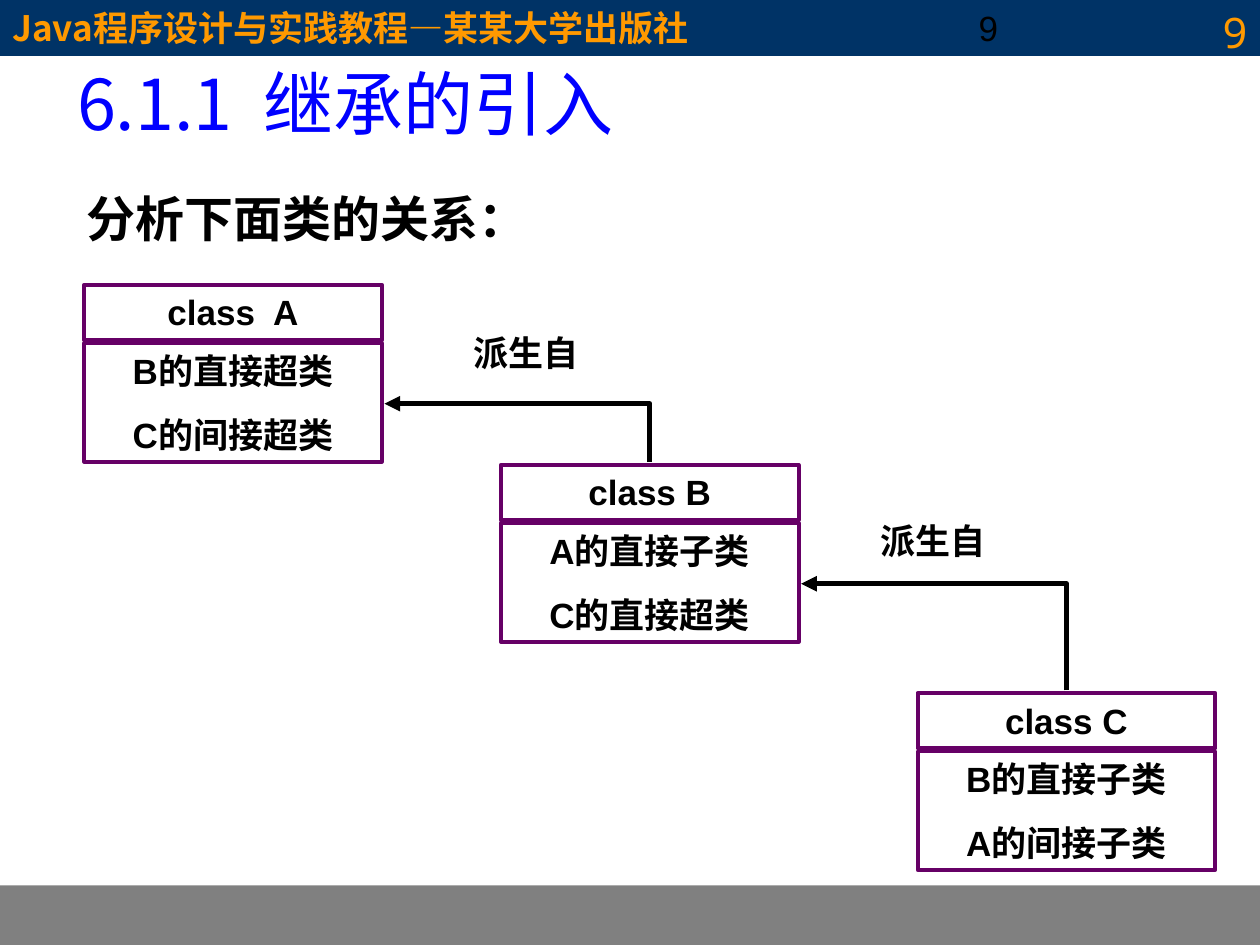
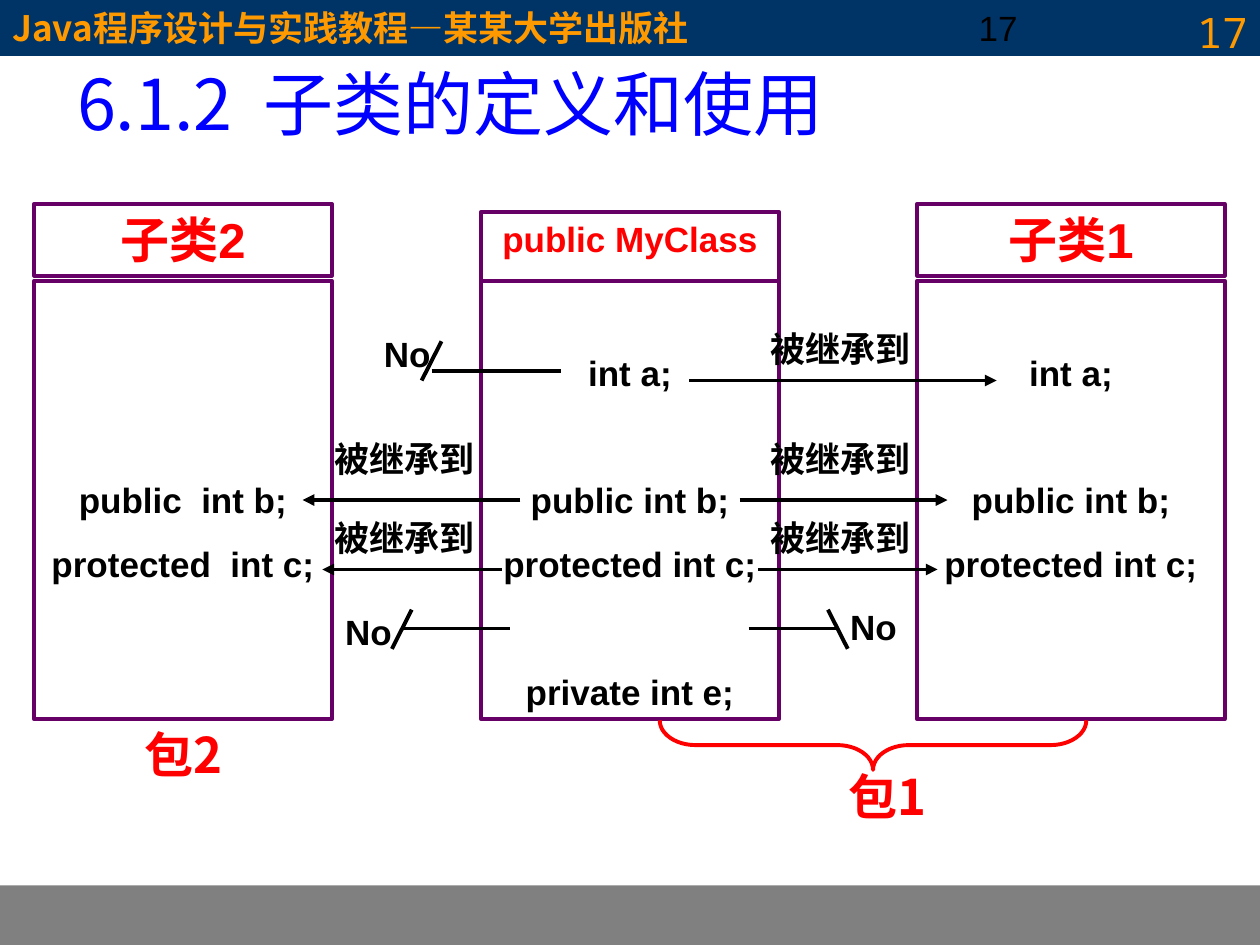
from dataclasses import dataclass

from lxml.etree import SubElement
from pptx import Presentation
from pptx.dml.color import RGBColor
from pptx.enum.shapes import MSO_CONNECTOR as Link, MSO_SHAPE as Preset
from pptx.enum.text import MSO_ANCHOR as Anchor, MSO_AUTO_SIZE as AutoSize, PP_ALIGN as Align
from pptx.oxml.ns import qn
from pptx.slide import Slide
from pptx.util import Cm, Pt

# Colours and fonts
NAVY, GREY, ORANGE, BLUE = "003366", "808080", "FF9900", "0000FF"
PURPLE, RED, BLACK = "660066", "FF0000", "000000"
ARIAL, CJK, MONO = "Arial", "Noto Sans CJK SC", "Noto Sans Mono"

# Lengths in centimetres, text sizes in points
WIDTH, HEIGHT = 25.4, 19.05
BAND = 1.12
LABEL_HEIGHT, LARGE_HEIGHT = 1.12, 1.45
BODY, LARGE = 20, 28
LEADING = 1.2
GAP = 12.5
ROW = BODY * LEADING + GAP


@dataclass
class Box:
    x: float
    y: float
    w: float
    h: float

    def lengths(self) -> list[Cm]:
        return [Cm(v) for v in (self.x, self.y, self.w, self.h)]


@dataclass
class Style:
    size: float = BODY
    color: str = BLACK
    font: str = ARIAL
    bold: bool = True
    align: Align = Align.CENTER
    fixed: bool = True  # fixed line pitch


LABEL = Style(align=Align.LEFT)
HEADING = Style(LARGE, align=Align.LEFT)
PACKAGE = Style(LARGE, RED, CJK)
SUBCLASS = Style(LARGE, RED)
PARENT = Style(color=RED)
TITLE = Style(40, BLUE, CJK, False, Align.LEFT, False)
BRAND = Style(BODY, ORANGE, CJK, True, Align.LEFT, False)
NUMBER = Style(bold=False, align=Align.LEFT)
CORNER = Style(24, ORANGE, MONO, False, Align.RIGHT, False)


@dataclass
class ClassCard:
    name: str
    relations: list[str]
    x: float
    y: float


@dataclass
class Panel:
    name: str
    style: Style
    header: Box
    members: dict[int, str]  # row number -> member


@dataclass
class Stroke:
    x1: float
    y1: float
    x2: float
    y2: float
    arrow: bool = False


def rgb(color: str) -> RGBColor:
    return RGBColor.from_string(color)


# Text
def write(shape, lines: list[str], style: Style, gaps: list[float] | None = None) -> None:
    frame = shape.text_frame
    frame.word_wrap = True
    frame.auto_size = AutoSize.NONE
    frame.text = "\n".join(lines)
    for index, paragraph in enumerate(frame.paragraphs):
        paragraph.alignment = style.align
        paragraph.space_before = Pt(gaps[index] if gaps else 0)
        if style.fixed:
            paragraph.line_spacing = Pt(style.size * LEADING)
        font = paragraph.font
        font.size, font.bold, font.name = Pt(style.size), style.bold, style.font
        font.color.rgb = rgb(style.color)
        east_asian = SubElement(paragraph._p.pPr.find(qn("a:defRPr")), qn("a:ea"))
        east_asian.set("typeface", CJK)


def add_label(slide: Slide, text: str, box: Box, style: Style = LABEL) -> None:
    write(slide.shapes.add_textbox(*box.lengths()), [text], style)


# Shapes and lines
def add_preset(slide: Slide, box: Box, line: str | None, fill: str | None = None,
               weight: float = 2.25, preset: Preset = Preset.RECTANGLE):
    shape = slide.shapes.add_shape(preset, *box.lengths())
    shape.shadow.inherit = False
    if fill:
        shape.fill.solid()
        shape.fill.fore_color.rgb = rgb(fill)
    else:
        shape.fill.background()
    if line:
        shape.line.color.rgb = rgb(line)
        shape.line.width = Pt(weight)
    else:
        shape.line.fill.background()
    shape.text_frame.vertical_anchor = Anchor.TOP
    return shape


def add_stroke(slide: Slide, stroke: Stroke, weight: float = 2.25, kind: Link = Link.STRAIGHT):
    ends = [Cm(v) for v in (stroke.x1, stroke.y1, stroke.x2, stroke.y2)]
    connector = slide.shapes.add_connector(kind, *ends)
    connector.line.color.rgb = rgb(BLACK)
    connector.line.width = Pt(weight)
    if stroke.arrow:
        SubElement(connector.line._get_or_add_ln(), qn("a:tailEnd")).set("type", "triangle")
    SubElement(connector.element.spPr, qn("a:effectLst"))
    return connector


def add_corner_arrow(slide: Slide, x1: float, y1: float, x2: float, y2: float) -> None:
    """Arrow that goes up from (x1, y1) and then left to (x2, y2)."""
    rise, run = y1 - y2, x1 - x2
    left, top = (x1 + x2 - rise) / 2, (y1 + y2 - run) / 2
    frame = Stroke(left, top, left + rise, top + run, arrow=True)
    properties = add_stroke(slide, frame, 3, Link.ELBOW).element.spPr
    properties.find(qn("a:prstGeom")).set("prst", "bentConnector2")
    transform = properties.find(qn("a:xfrm"))
    transform.set("rot", str(270 * 60000))
    transform.set("flipV", "1")


# What the slides share
def add_bands(slide: Slide) -> None:
    """Put the header and footer bands on the slide's layout."""
    footer = add_preset(slide, Box(0, 17.85, WIDTH, 1.2), None, GREY)
    header = add_preset(slide, Box(0, 0, WIDTH, BAND), NAVY, NAVY, 0.75)
    header.text_frame.vertical_anchor = Anchor.MIDDLE
    write(header, ["Java程序设计与实践教程—某某大学出版社"], BRAND)
    for position, band in enumerate((footer, header), start=2):
        slide.slide_layout.shapes.element.insert(position, band.element)


def add_page(deck, title: str, number: int) -> Slide:
    slide = deck.slides.add_slide(deck.slide_layouts[5])
    heading = slide.shapes.title
    heading.left, heading.top, heading.width, heading.height = Box(1.3, 1.2, 22.86, 1.73).lengths()
    write(heading, [title], TITLE)
    heading.text_frame.vertical_anchor = Anchor.MIDDLE
    for style in (NUMBER, CORNER):
        add_label(slide, str(number), Box(19.48, 0, 5.92, 1.32), style)
    return slide


# Inheritance slide
CARD_WIDTH, BODY_OFFSET, BODY_HEIGHT = 6, 1.18, 2.39


def add_class_card(slide: Slide, card: ClassCard) -> None:
    name = add_preset(slide, Box(card.x, card.y, CARD_WIDTH, LABEL_HEIGHT), PURPLE)
    write(name, [card.name], Style())
    relations = add_preset(
        slide, Box(card.x, card.y + BODY_OFFSET, CARD_WIDTH, BODY_HEIGHT), PURPLE)
    write(relations, card.relations, Style(), [0, GAP])


def build_inheritance(deck) -> Slide:
    slide = add_page(deck, "6.1.1  继承的引入", 9)
    add_label(slide, "分析下面类的关系：", Box(1.5, 3.68, 19.8, LARGE_HEIGHT), HEADING)
    cards = [
        ClassCard("class  A", ["B的直接超类", "C的间接超类"], 1.7, 5.74),
        ClassCard("class B", ["A的直接子类", "C的直接超类"], 10.1, 9.37),
        ClassCard("class C", ["B的直接子类", "A的间接子类"], 18.5, 13.97),
    ]
    for card in cards:
        add_class_card(slide, card)
    for parent, child in zip(cards, cards[1:]):
        add_corner_arrow(slide, child.x + CARD_WIDTH / 2, child.y - 0.05,
                         parent.x + CARD_WIDTH + 0.05, parent.y + 2.4)
    for x, y in ((9.3, 6.55), (17.5, 10.34)):
        add_label(slide, "派生自", Box(x, y, 3.6, LABEL_HEIGHT))
    return slide


# Member access slide
MEMBERS_TOP, MEMBERS_HEIGHT = 5.66, 8.84


def add_panel(slide: Slide, panel: Panel) -> None:
    header = panel.header
    write(add_preset(slide, header, PURPLE), [panel.name], panel.style)
    body = add_preset(slide, Box(header.x, MEMBERS_TOP, header.w, MEMBERS_HEIGHT), PURPLE)
    rows = list(panel.members)
    body.text_frame.margin_top = Cm(0.13) + Pt(rows[0] * ROW)
    gaps = [0] + [GAP + (row - above - 1) * ROW for above, row in zip(rows, rows[1:])]
    write(body, list(panel.members.values()), Style(), gaps)


def build_access(deck) -> Slide:
    slide = add_page(deck, "6.1.2  子类的定义和使用", 17)
    shared = {1: "int a;", 3: "public int b;", 4: "protected int c;"}
    panels = [
        Panel("子类2", SUBCLASS, Box(0.69, 4.11, 6, LARGE_HEIGHT),
              {3: "public  int b;", 4: "protected  int c;"}),
        Panel("public MyClass", PARENT, Box(9.7, 4.27, 6, 1.4),
              {**shared, 6: "private int e;"}),
        Panel("子类1", SUBCLASS, Box(18.49, 4.11, 6.2, LARGE_HEIGHT), shared),
    ]
    for panel in panels:
        add_panel(slide, panel)

    # Packages
    add_label(slide, "包2", Box(1.09, 14.48, 5.2, LARGE_HEIGHT), PACKAGE)
    add_label(slide, "包1", Box(15.29, 15.32, 5.2, LARGE_HEIGHT), PACKAGE)
    brace = add_preset(slide, Box(17.1, 10.72, 1, 8.6), RED, preset=Preset.LEFT_BRACE)
    brace.adjustments[0] = 0.72
    brace.rotation = 270

    # Inherited members, then blocked ones with their slashes
    a_line, b_line, c_line, e_line = 7.67, 10.08, 11.48, 12.67
    strokes = [
        Stroke(13.89, a_line, 20.09, a_line, True),
        Stroke(10.49, b_line, 6.1, b_line, True),
        Stroke(14.91, b_line, 19.1, b_line, True),
        Stroke(10.11, c_line, 6.5, c_line, True),
        Stroke(15.29, c_line, 18.9, c_line, True),
        Stroke(8.7, 7.47, 11.3, 7.47),
        Stroke(8.1, e_line, 10.29, e_line),
        Stroke(15.09, e_line, 16.89, e_line),
        Stroke(8.9, 6.88, 8.5, 7.67),
        Stroke(8.3, 12.29, 7.9, 13.08),
        Stroke(16.69, 12.29, 17.09, 13.08),
    ]
    for stroke in strokes:
        add_stroke(slide, stroke)
    for x, tops in ((6.5, (8.69, 10.29)), (15.29, (6.48, 8.69, 10.29))):
        for y in tops:
            add_label(slide, "被继承到", Box(x, y, 3.6, LABEL_HEIGHT))
    for x, y in ((7.49, 6.58), (6.71, 12.19), (16.89, 12.09)):
        add_label(slide, "No", Box(x, y, 1.8, LABEL_HEIGHT))
    return slide


deck = Presentation()
deck.slide_width, deck.slide_height = Cm(WIDTH), Cm(HEIGHT)
add_bands(build_inheritance(deck))
build_access(deck)
deck.save("out.pptx")
